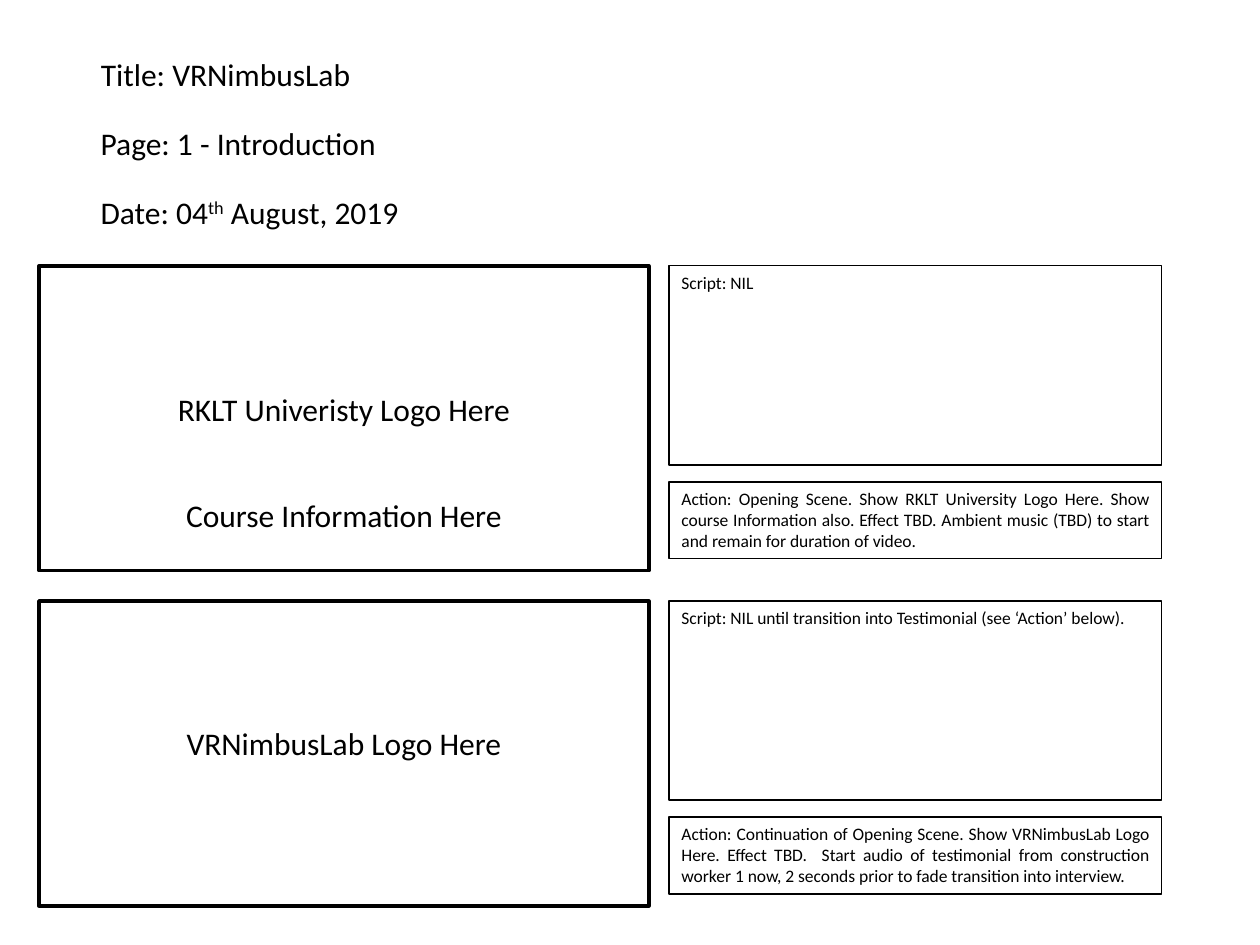
"""Build a storyboard page with header lines and two scenes, each with a frame, a script and an action."""
import pptx
import pptx.dml.color
import pptx.enum.shapes
import pptx.enum.text
import pptx.util

Inches = pptx.util.Inches
Align = pptx.enum.text.PP_ALIGN
Anchor = pptx.enum.text.MSO_ANCHOR

FONT, BLACK, WHITE = "Calibri", "000000", "FFFFFF"
HEADER = [
    [("Title: VRNimbusLab", 0)],
    [("Page: 1 - Introduction", 0)],
    [("Date: 04", 0), ("th", 30000), (" August, 2019", 0)],
]
SCENES = [
    {
        "captions": [("RKLT Univeristy Logo Here", 0.94), ("Course Information Here", 1.78)],
        "script": "Script: NIL",
        "action": "Action: Opening Scene. Show RKLT University Logo Here. Show course Information also. "
                  "Effect TBD. Ambient music (TBD) to start and remain for duration of video.",
    },
    {
        "captions": [("VRNimbusLab Logo Here", 0.93)],
        "script": "Script: NIL until transition into Testimonial (see ‘Action’ below).",
        "action": "Action: Continuation of Opening Scene. Show VRNimbusLab Logo Here. Effect TBD.  "
                  "Start audio of testimonial from construction worker 1 now, 2 seconds prior to "
                  "fade transition into interview.",
    },
]
HEADER_LEFT, HEADER_TOP, HEADER_STEP, HEADER_WIDTH = 0.7, 0.39, 0.545, 8.59
LINE_HEIGHT = 0.4
SCENE_TOP, SCENE_STEP = 2.11, 2.66
FRAME_LEFT, FRAME_WIDTH, FRAME_HEIGHT = 0.31, 4.84, 2.42
CAPTION_WIDTH = 2.97
NOTE_LEFT, NOTE_WIDTH = 5.31, 3.91
SCRIPT_HEIGHT, ACTION_OFFSET, ACTION_HEIGHT = 1.58, 1.715, 0.61


def color(value):
    return pptx.dml.color.RGBColor.from_string(value)


def write(shape, pieces, size, align, anchor=Anchor.TOP):
    frame = shape.text_frame
    frame.word_wrap = True
    frame.auto_size = pptx.enum.text.MSO_AUTO_SIZE.NONE
    frame.vertical_anchor = anchor
    paragraph = frame.paragraphs[0]
    paragraph.alignment = align
    for text, baseline in pieces:
        run = paragraph.add_run()
        run.text = text
        run.font.name = FONT
        run.font.size = pptx.util.Pt(size)
        run.font.color.rgb = color(BLACK)
        if baseline:
            run.font._element.set("baseline", str(baseline))


def add_box(slide, bounds, line_width, fill=None):
    box = slide.shapes.add_shape(pptx.enum.shapes.MSO_SHAPE.RECTANGLE, *map(Inches, bounds))
    box.shadow.inherit = False
    if fill:
        box.fill.solid()
        box.fill.fore_color.rgb = color(fill)
    else:
        box.fill.background()
    box.line.color.rgb = color(BLACK)
    box.line.width = pptx.util.Pt(line_width)
    return box


def add_line(slide, bounds, pieces, align):
    write(slide.shapes.add_textbox(*map(Inches, bounds)), pieces, 18, align)


def add_header(slide):
    for index, pieces in enumerate(HEADER):
        bounds = (HEADER_LEFT, HEADER_TOP + index * HEADER_STEP, HEADER_WIDTH, LINE_HEIGHT)
        if index == 0:
            title = slide.shapes.title
            title.left, title.top, title.width, title.height = map(Inches, bounds)
            write(title, pieces, 18, Align.LEFT)
        else:
            add_line(slide, bounds, pieces, Align.LEFT)


def add_scene(slide, scene, top):
    add_box(slide, (FRAME_LEFT, top, FRAME_WIDTH, FRAME_HEIGHT), 2)
    caption_left = FRAME_LEFT + (FRAME_WIDTH - CAPTION_WIDTH) / 2
    for caption, offset in scene["captions"]:
        add_line(slide, (caption_left, top + offset, CAPTION_WIDTH, LINE_HEIGHT),
                 [(caption, 0)], Align.CENTER)
    notes = [
        (scene["script"], 0, SCRIPT_HEIGHT, Align.LEFT),
        (scene["action"], ACTION_OFFSET, ACTION_HEIGHT, Align.JUSTIFY),
    ]
    for text, offset, height, align in notes:
        note = add_box(slide, (NOTE_LEFT, top + offset, NOTE_WIDTH, height), 0.75, WHITE)
        write(note, [(text, 0)], 10, align)


def main():
    deck = pptx.Presentation()
    deck.slide_width, deck.slide_height = Inches(10), Inches(7.5)
    slide = deck.slides.add_slide(deck.slide_layouts[5])
    add_header(slide)
    for index, scene in enumerate(SCENES):
        add_scene(slide, scene, SCENE_TOP + index * SCENE_STEP)
    deck.save("out.pptx")


if __name__ == "__main__":
    main()
